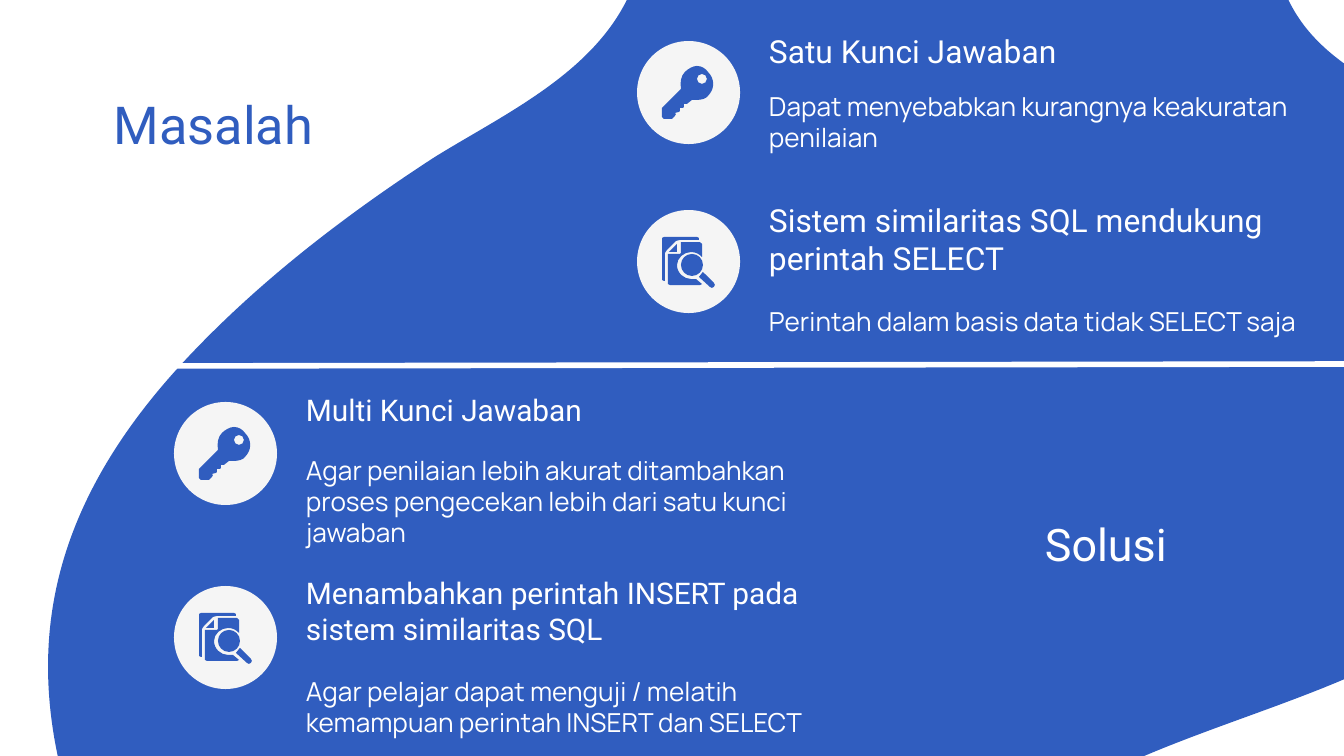
from dataclasses import dataclass

from lxml.etree import SubElement
from pptx import Presentation
from pptx.dml.color import RGBColor
from pptx.enum.shapes import MSO_CONNECTOR, MSO_SHAPE
from pptx.enum.text import MSO_ANCHOR, PP_ALIGN
from pptx.oxml.ns import qn
from pptx.util import Emu, Pt

EMU_PER_PX = 914400 / 134.4
BLUE = RGBColor(0x30, 0x5D, 0xBF)
WHITE = RGBColor(0xFF, 0xFF, 0xFF)
LIGHT_GRAY = RGBColor(0xF5, 0xF5, 0xF5)
HEADING_FONT = "Roboto"
BODY_FONT = "Manrope"
BADGE_SIZE = 103
TEXT_OFFSET = 119  # from the badge's left edge to its text boxes
INSET = 13

# A contour is a start point, then lines (x, y) and
# cubic curves (x1, y1, x2, y2, x, y), all in px.
Contour = list[tuple[float, ...]]


@dataclass(frozen=True)
class TextBlock:
    text: str
    top: int
    height: int
    size: int
    font: str


@dataclass(frozen=True)
class Entry:
    badge_left: int
    badge_top: int
    icon: list[list[Contour]]
    heading: TextBlock
    body: TextBlock


def circle(x: int, y: int, radius: int) -> Contour:
    k = radius * 0.55
    r = radius
    return [
        (x, y - r),
        (x + k, y - r, x + r, y - k, x + r, y),
        (x + r, y + k, x + k, y + r, x, y + r),
        (x - k, y + r, x - r, y + k, x - r, y),
        (x - r, y - k, x - k, y - r, x, y - r),
    ]


BACKGROUND: Contour = [
    (1017, -362),
    (968, -366, 909, -353, 839, -319),
    (730, -261, 672, -140, 638, -28),
    (610, 66, 511, 110, 435, 157),
    (344, 216, 254, 285, 179, 367),
    (26, 535, 20, 695, 95, 871),
    (118, 923, 157, 1005, 288, 1071),
    (336, 1095, 387, 1110, 437, 1114),
    (567, 1125, 703, 1071, 841, 969),
    (886, 937, 927, 897, 966, 863),
    (1011, 827, 1060, 796, 1111, 771),
    (1231, 714, 1368, 688, 1473, 607),
    (1529, 564, 1574, 508, 1602, 442),
    (1636, 362, 1622, 271, 1568, 204),
    (1515, 141, 1465, 134, 1407, 102),
    (1337, 63, 1290, 34, 1274, -44),
    (1255, -144, 1188, -348, 1017, -362),
]

# Icons: each is a list of outlines, measured from the badge's corner
KEY = [[
    [(60, 25), (56, 25, 51, 28, 48, 31), (44, 35, 43, 41, 44, 48),
     (25, 67), (25, 76), (27, 78), (35, 78), (38, 75), (39, 73), (38, 72),
     (42, 71), (43, 70), (43, 67), (46, 67), (47, 66), (47, 63), (50, 63),
     (55, 59), (56, 59, 58, 59, 60, 59), (64, 59, 69, 58, 71, 55),
     (78, 48, 78, 38, 71, 31), (69, 28, 65, 25, 60, 25)],
    circle(65, 38, 5),
]]
BACK_PAGE: Contour = [
    (27, 27), (25, 28), (25, 70), (27, 71), (28, 71), (28, 43),
    (30, 40), (39, 31), (43, 30), (62, 30), (62, 28), (60, 27),
]
FOLD: Contour = [(40, 34), (32, 42), (40, 42)]
FRONT_PAGE: Contour = [
    (44, 32), (44, 43), (43, 44), (31, 44), (31, 74), (33, 75), (63, 75),
    (65, 74), (59, 69), (54, 69), (47, 69, 40, 63, 40, 55),
    (40, 48, 47, 42, 54, 42), (59, 42, 62, 44, 65, 47), (65, 34), (63, 32),
]
HANDLE: Contour = [
    (66, 62), (62, 67), (73, 77), (75, 78), (77, 77), (78, 75), (77, 73),
]
SEARCH = [[BACK_PAGE], [FOLD], [circle(55, 55, 11)], [FRONT_PAGE], [HANDLE]]

ENTRIES = [
    Entry(637, 41, KEY,
          TextBlock("Satu Kunci Jawaban", 19, 62, 17, HEADING_FONT),
          TextBlock("Dapat menyebabkan kurangnya keakuratan penilaian",
                    77, 90, 14, BODY_FONT)),
    Entry(637, 210, SEARCH,
          TextBlock("Sistem similaritas SQL mendukung perintah SELECT",
                    188, 103, 17, HEADING_FONT),
          TextBlock("Perintah dalam basis data tidak SELECT saja",
                    292, 59, 14, BODY_FONT)),
    Entry(174, 402, KEY,
          TextBlock("Multi Kunci Jawaban", 379, 63, 16, HEADING_FONT),
          TextBlock("Agar penilaian lebih akurat ditambahkan proses "
                    "pengecekan lebih dari satu kunci jawaban",
                    441, 122, 14, BODY_FONT)),
    Entry(174, 586, SEARCH,
          TextBlock("Menambahkan perintah INSERT pada sistem similaritas SQL",
                    562, 99, 16, HEADING_FONT),
          TextBlock("Agar pelajar dapat menguji / melatih kemampuan "
                    "perintah INSERT dan SELECT", 662, 90, 14, BODY_FONT)),
]


def px(value: float) -> Emu:
    return Emu(round(value * EMU_PER_PX))


def fill_plain(shape, color: RGBColor) -> None:
    shape.shadow.inherit = False
    shape.fill.solid()
    shape.fill.fore_color.rgb = color
    shape.line.fill.background()


def add_outline(shapes, contours: list[Contour], left: int = 0, top: int = 0) -> None:
    """Draw contours as one freeform, joining control points into curves."""
    builder = None
    for contour in contours:
        start, *points = [(px(left + x), px(top + y)) for segment in contour
                          for x, y in zip(segment[::2], segment[1::2])]
        if builder is None:
            builder = shapes.build_freeform(*start)
        else:
            builder.move_to(*start)
        builder.add_line_segments(points, close=True)
    shape = builder.convert_to_shape()
    lines = iter(list(shape._element.iter(qn("a:lnTo"))))
    for segment in (segment for contour in contours for segment in contour[1:]):
        line = next(lines)
        if len(segment) == 6:
            line.tag = qn("a:cubicBezTo")
            for _ in range(2):
                extra = next(lines)
                line.append(extra[0])
                extra.getparent().remove(extra)
    fill_plain(shape, BLUE)


def add_text(slide, text: str, *, left: int, top: int, width: int, height: int,
             size: int, font: str = HEADING_FONT, color: RGBColor = WHITE) -> None:
    box = slide.shapes.add_textbox(px(left), px(top), px(width), px(height))
    frame = box.text_frame
    frame.word_wrap = True
    frame.vertical_anchor = MSO_ANCHOR.TOP
    frame.margin_left = frame.margin_right = px(INSET)
    frame.margin_top = frame.margin_bottom = px(INSET)
    paragraph = frame.paragraphs[0]
    paragraph.alignment = PP_ALIGN.LEFT
    run = paragraph.add_run()
    run.text = text
    run.font.size = Pt(size)
    run.font.name = font
    run.font.color.rgb = color


def add_entry(slide, entry: Entry) -> None:
    left, top = entry.badge_left, entry.badge_top
    badge = slide.shapes.add_shape(MSO_SHAPE.OVAL, px(left), px(top),
                                   px(BADGE_SIZE), px(BADGE_SIZE))
    fill_plain(badge, LIGHT_GRAY)
    for contours in entry.icon:
        add_outline(slide.shapes, contours, left, top)
    for block in (entry.heading, entry.body):
        add_text(slide, block.text, left=left + TEXT_OFFSET, top=block.top,
                 width=587, height=block.height, size=block.size, font=block.font)


def add_divider(slide) -> None:
    line = slide.shapes.add_connector(MSO_CONNECTOR.STRAIGHT,
                                      px(173), px(366), px(1361), px(364))
    line.line.color.rgb = WHITE
    line.line.width = Pt(3)
    SubElement(line._element.spPr, qn("a:effectLst"))


def main() -> None:
    presentation = Presentation()
    presentation.slide_width, presentation.slide_height = px(1344), px(756)
    slide = presentation.slides.add_slide(presentation.slide_layouts[6])

    # Background wave
    add_outline(slide.shapes, [BACKGROUND])

    # Section titles
    add_text(slide, "Masalah", left=101, top=79, width=312, height=85,
             size=28, color=BLUE)
    add_text(slide, "Solusi", left=1032, top=504, width=312, height=85, size=24)

    # Problems and solutions
    for entry in ENTRIES:
        add_entry(slide, entry)

    add_divider(slide)
    presentation.save("out.pptx")


if __name__ == "__main__":
    main()
